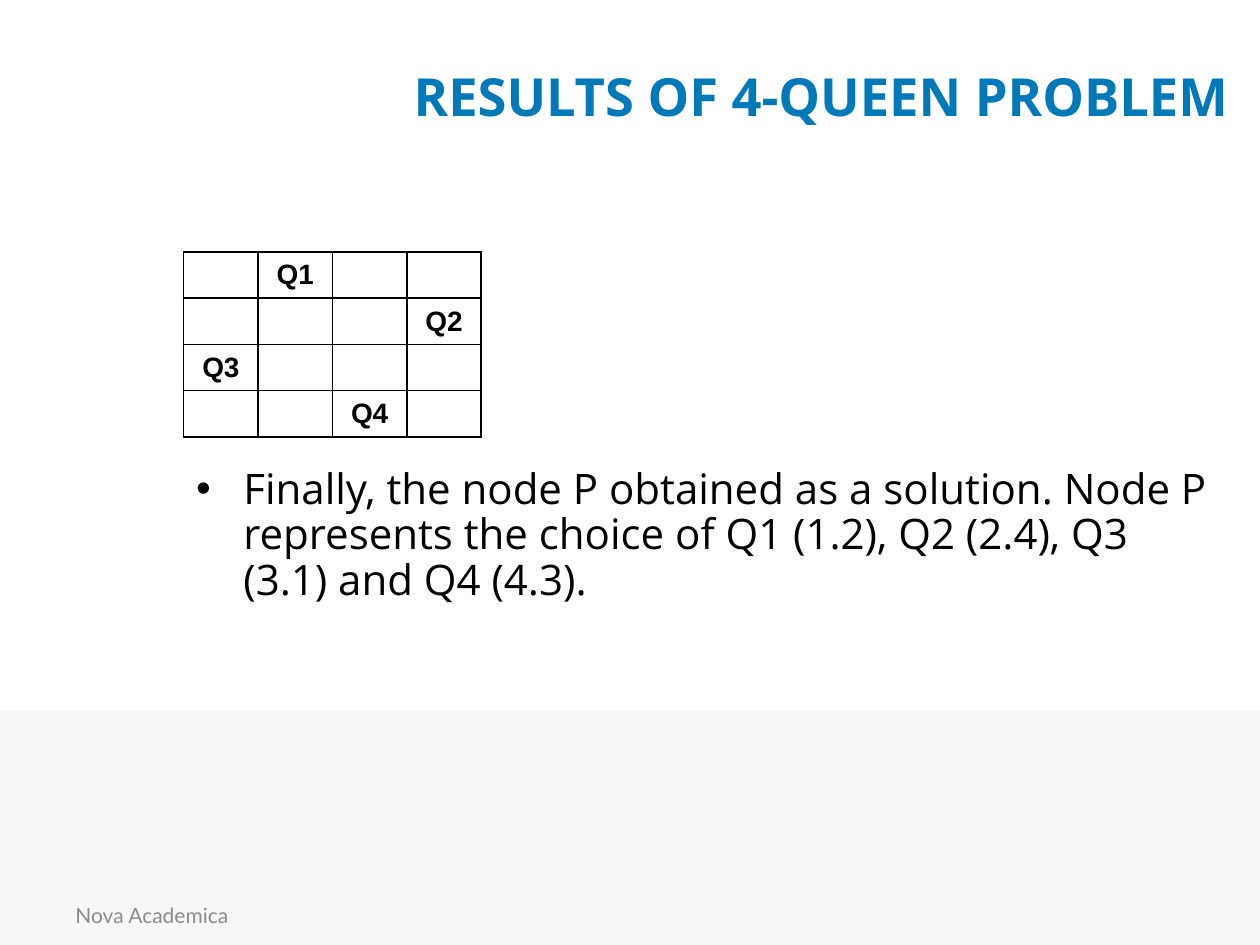
from lxml.etree import SubElement
from pptx import Presentation
from pptx.dml.color import RGBColor
from pptx.enum.shapes import MSO_SHAPE as Shape
from pptx.enum.text import MSO_ANCHOR as Anchor, PP_ALIGN as Align
from pptx.oxml.ns import qn
from pptx.util import Pt

TITLE_ONLY = 5
QUEENS = [2, 4, 1, 3]


def rgb(code):
    """Turn a hex string into a colour."""
    return RGBColor.from_string(code)


class Deck:
    """Holds the style and the current slide."""
    heading, body, small = "Open Sans", "Open Sans", "Lato"
    cell_font, cell_size = "Arial", 16
    blue, black, grey, band_fill, white = "0079B8", "000000", "8C8C8C", "F7F7F7", "FFFFFF"

    def __init__(self, prs):
        """Add a title-only slide."""
        self.s = prs.slides.add_slide(prs.slide_layouts[TITLE_ONLY])

    def run(self, p, text, font, size, color, bold=False):
        """Add one formatted run to a paragraph."""
        r = p.add_run()
        r.text = text
        r.font.name, r.font.size, r.font.bold = font, Pt(size), bold
        r.font.color.rgb = rgb(color)

    def band(self, x, y, w, h):
        """Add a plain filled rectangle."""
        sp = self.s.shapes.add_shape(Shape.RECTANGLE, Pt(x), Pt(y), Pt(w), Pt(h))
        sp.shadow.inherit = False
        sp.fill.solid()
        sp.fill.fore_color.rgb = rgb(self.band_fill)
        sp.line.fill.background()

    def title(self, text, x, y, w, h):
        """Place and fill the title placeholder."""
        sp = self.s.shapes.title
        sp.left, sp.top, sp.width, sp.height = Pt(x), Pt(y), Pt(w), Pt(h)
        tf = sp.text_frame
        tf.word_wrap, tf.vertical_anchor = True, Anchor.MIDDLE
        p = tf.paragraphs[0]
        p.alignment = Align.CENTER
        self.run(p, text, self.heading, 30, self.blue, True)

    def text(self, text, x, y, w, h, font, size, color, anchor=Anchor.TOP):
        """Add a wrapped text box and return its paragraph."""
        tf = self.s.shapes.add_textbox(Pt(x), Pt(y), Pt(w), Pt(h)).text_frame
        tf.word_wrap, tf.vertical_anchor = True, anchor
        p = tf.paragraphs[0]
        self.run(p, text, font, size, color)
        return p

    def bullet(self, text, x, y, w, h):
        """Add a bulleted text with a hanging indent."""
        p = self.text(text, x, y, w, h, self.body, 24, self.black)
        p.line_spacing, p.space_before = 0.9, Pt(4.8)
        pPr = p._p.get_or_add_pPr()
        pPr.set("marL", str(Pt(27)))
        pPr.set("indent", str(Pt(-27)))
        SubElement(pPr, qn("a:buFont"), typeface="Arial")
        SubElement(pPr, qn("a:buChar"), char="•")

    def borders(self, cell):
        """Draw a thin line on every side of a cell."""
        tcPr = cell._tc.get_or_add_tcPr()
        for i, side in enumerate(("lnL", "lnR", "lnT", "lnB")):
            ln = tcPr.makeelement(qn("a:" + side), {"w": str(Pt(1))})
            fill = SubElement(ln, qn("a:solidFill"))
            SubElement(fill, qn("a:srgbClr"), val=self.black)
            tcPr.insert(i, ln)

    def board(self, queens, x, y, col_w, row_h):
        """Add a square board with one numbered queen in each row."""
        n = len(queens)
        table = self.s.shapes.add_table(n, n, Pt(x), Pt(y), Pt(n * col_w), Pt(n * row_h)).table
        table.first_row = table.horz_banding = False
        for row, queen_col in enumerate(queens, 1):
            table.rows[row - 1].height = Pt(row_h)
            table.columns[row - 1].width = Pt(col_w)
            for col in range(1, n + 1):
                cell = table.cell(row - 1, col - 1)
                cell.fill.solid()
                cell.fill.fore_color.rgb = rgb(self.white)
                cell.vertical_anchor = Anchor.MIDDLE
                self.borders(cell)
                p = cell.text_frame.paragraphs[0]
                p.alignment = Align.CENTER
                if col == queen_col:
                    self.run(p, f"Q{row}", self.cell_font, self.cell_size, self.black, True)
                else:
                    SubElement(p._p, qn("a:endParaRPr"), sz=str(self.cell_size * 100))


prs = Presentation()
prs.slide_width, prs.slide_height = Pt(720), Pt(540)
deck = Deck(prs)
deck.band(0, 406, 720, 134)
deck.text("Nova Academica", 36, 508.5, 168, 28.75, deck.small, 12, deck.grey, Anchor.MIDDLE)
deck.title("RESULTS OF 4-QUEEN PROBLEM", 204, 32, 530.5, 45)
deck.board(QUEENS, 105, 144, 42.5, 26.4)
deck.bullet("Finally, the node P obtained as a solution. Node P represents the choice of "
            "Q1 (1.2), Q2 (2.4), Q3 (3.1) and Q4 (4.3).", 105, 264, 595.5, 258)
prs.save("out.pptx")
